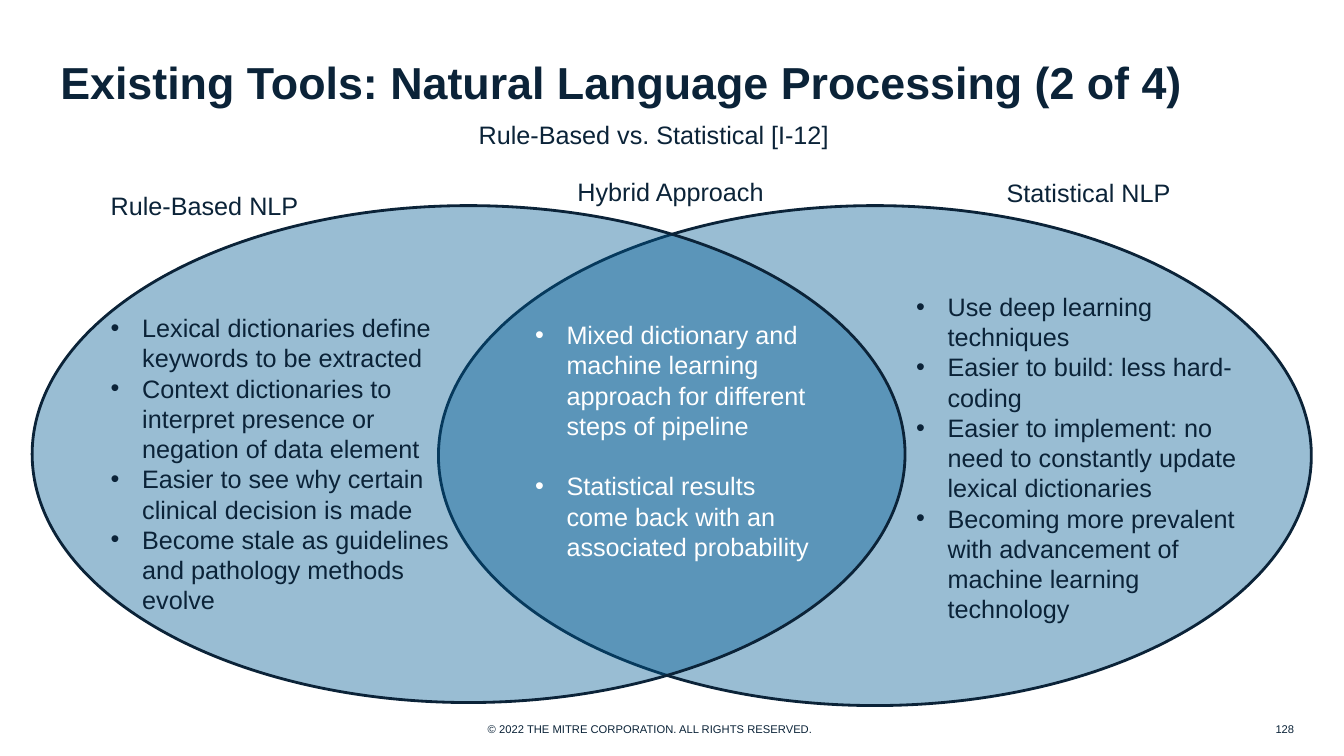
from dataclasses import dataclass

from lxml import etree
from pptx import Presentation
from pptx import util as u
from pptx.dml import color
from pptx.enum import shapes, text
from pptx.oxml import ns
from pptx.slide import Slide
from pptx.text.text import TextFrame, _Paragraph

COLORS = {"navy": "0B2338", "blue": "005B93", "white": "FFFFFF"}
FONT = "Arial"
BODY_SIZE = 18
LINE_HEIGHT = 21.6
BULLET_INDENT = 22.5


@dataclass(frozen=True)
class Box:
    left: float
    top: float
    width: float
    height: float

    def lengths(self) -> list[u.Length]:
        return [u.Pt(n) for n in (self.left, self.top, self.width, self.height)]


@dataclass(frozen=True)
class Label:
    wording: str
    box: Box
    size: float = BODY_SIZE
    bold: bool = False
    wrap: bool = False
    middle: bool = False
    right: bool = False
    side_inset: float = 7.2


@dataclass(frozen=True)
class Traits:
    box: Box
    points: tuple[str, ...]
    ink: str = "navy"
    gap: float = 0


COPYRIGHT = Label("© 2022 THE MITRE CORPORATION. ALL RIGHTS RESERVED.",
                  Box(341.28, 512.64, 252.72, 17.28), size=8)
TITLE = Label("Existing Tools: Natural Language Processing (2 of 4)",
              Box(36, 31, 888, 54.72), size=32, bold=True, wrap=True, middle=True)
PAGE_NUMBER = Label("128", Box(861.12, 510.48, 63.36, 20.16), size=8,
                    wrap=True, middle=True, right=True, side_inset=0)
SUBTITLE = Label("Rule-Based vs. Statistical [I-12]", Box(334.8, 82, 267.12, 28.8))
APPROACH_NAMES = (
    Label("Rule-Based NLP", Box(72, 132.48, 149, 28.8)),
    Label("Hybrid Approach", Box(405.36, 122.4, 149, 28.8)),
    Label("Statistical NLP", Box(712, 123.12, 132.48, 28.8)),
)
STATISTICAL_OVAL = Box(313.2, 146.88, 623.52, 357.12)
RULE_BASED_OVAL = Box(23, 146.88, 623.52, 354.96)
APPROACH_TRAITS = (
    Traits(Box(72, 219.6, 275.76, 225.36), (
        "Lexical dictionaries define keywords to be extracted",
        "Context dictionaries to interpret presence or negation of data element",
        "Easier to see why certain clinical decision is made",
        "Become stale as guidelines and pathology methods evolve",
    )),
    Traits(Box(375.12, 224.64, 213.84, 181.44), (
        "Mixed dictionary and machine learning approach for different steps of pipeline",
        "Statistical results come back with an associated probability",
    ), ink="white", gap=LINE_HEIGHT),
    Traits(Box(647.28, 204.48, 262, 247), (
        "Use deep learning techniques",
        "Easier to build: less hard-coding",
        "Easier to implement: no need to constantly update lexical dictionaries",
        "Becoming more prevalent with advancement of machine learning technology",
    )),
)


def rgb(name: str) -> color.RGBColor:
    return color.RGBColor.from_string(COLORS[name])


def add_frame(slide: Slide, box: Box, wrap: bool) -> TextFrame:
    frame = slide.shapes.add_textbox(*box.lengths()).text_frame
    frame.word_wrap = wrap
    return frame


def add_run(paragraph: _Paragraph, wording: str, size: float, ink: str,
            bold: bool = False) -> None:
    run = paragraph.add_run()
    run.text = wording
    run.font.name = FONT
    run.font.size = u.Pt(size)
    run.font.bold = bold
    run.font.color.rgb = rgb(ink)


def add_label(slide: Slide, label: Label) -> None:
    frame = add_frame(slide, label.box, label.wrap)
    frame.margin_left = frame.margin_right = u.Pt(label.side_inset)
    if label.middle:
        frame.vertical_anchor = text.MSO_ANCHOR.MIDDLE
    paragraph = frame.paragraphs[0]
    if label.right:
        paragraph.alignment = text.PP_ALIGN.RIGHT
    add_run(paragraph, label.wording, label.size, "navy", label.bold)


def add_traits(slide: Slide, traits: Traits) -> None:
    frame = add_frame(slide, traits.box, True)
    for index, point in enumerate(traits.points):
        paragraph = frame.add_paragraph() if index else frame.paragraphs[0]
        paragraph.line_spacing = u.Pt(LINE_HEIGHT)
        if index and traits.gap:
            paragraph.space_before = u.Pt(traits.gap)
        properties = paragraph._p.get_or_add_pPr()
        properties.set("marL", str(u.Pt(BULLET_INDENT)))
        properties.set("indent", str(-u.Pt(BULLET_INDENT)))
        etree.SubElement(properties, ns.qn("a:buFont"), typeface=FONT)
        etree.SubElement(properties, ns.qn("a:buChar"), char="•")
        add_run(paragraph, point, BODY_SIZE, traits.ink)


def add_oval(slide: Slide, box: Box) -> None:
    oval = slide.shapes.add_shape(shapes.MSO_SHAPE.OVAL, *box.lengths())
    oval.shadow.inherit = False
    oval.fill.solid()
    oval.fill.fore_color.rgb = rgb("blue")
    tint = oval._element.spPr.find(ns.qn("a:solidFill"))[0]
    etree.SubElement(tint, ns.qn("a:alpha"), val="40000")
    oval.line.color.rgb = rgb("navy")
    oval.line.width = u.Pt(2)


def main() -> None:
    deck = Presentation()
    deck.slide_width, deck.slide_height = u.Pt(960), u.Pt(540)
    slide = deck.slides.add_slide(deck.slide_layouts[6])
    add_label(slide, COPYRIGHT)
    add_label(slide, TITLE)
    for oval in (STATISTICAL_OVAL, RULE_BASED_OVAL):
        add_oval(slide, oval)
    add_label(slide, SUBTITLE)
    for name, traits in zip(APPROACH_NAMES, APPROACH_TRAITS):
        add_label(slide, name)
        add_traits(slide, traits)
    add_label(slide, PAGE_NUMBER)
    deck.save("out.pptx")


if __name__ == "__main__":
    main()
